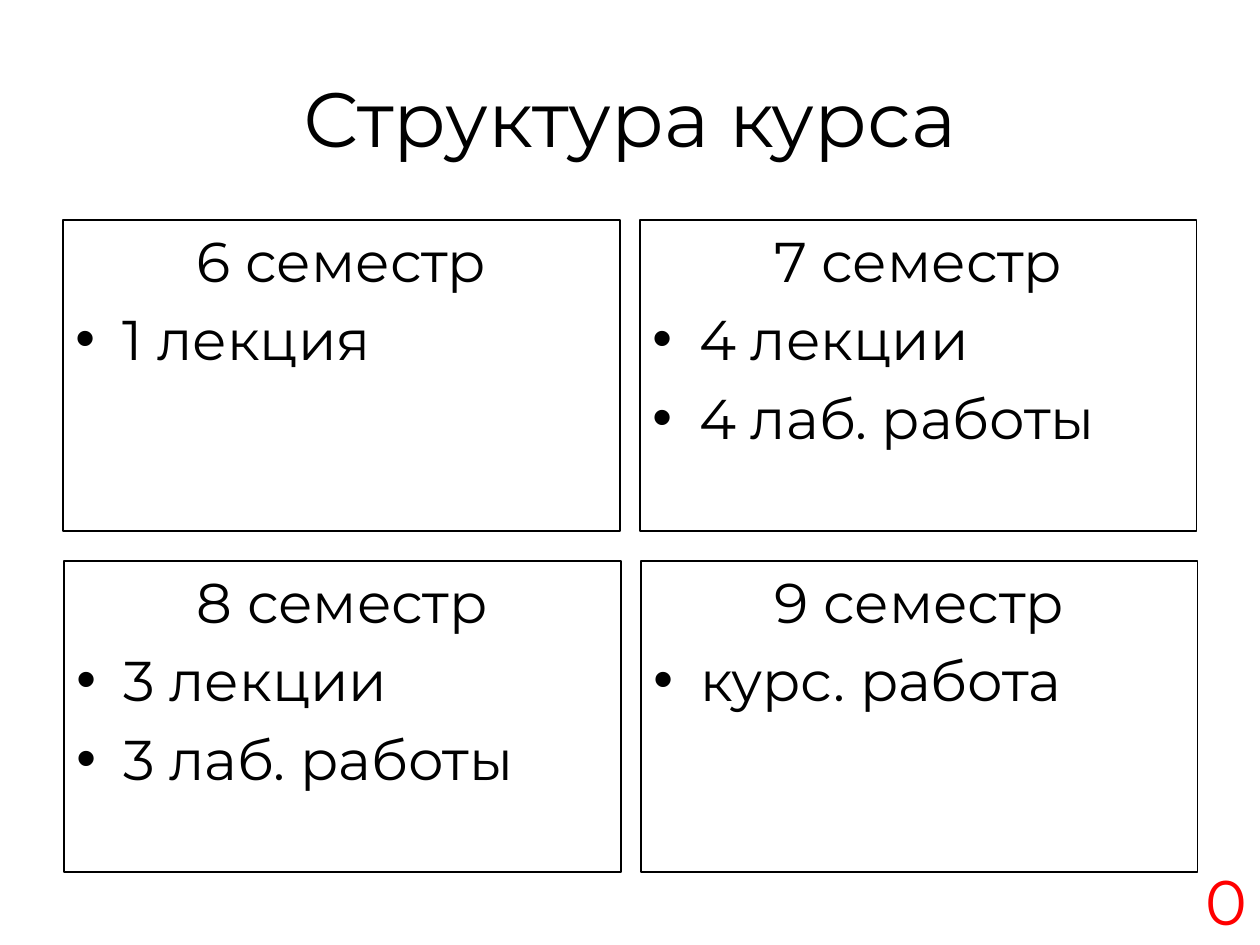
from pptx import Presentation
from pptx import util as u
from pptx.dml.color import RGBColor
from pptx.enum import shapes, text
from lxml import etree

SCALE = 914400 // 126
A = "{http://schemas.openxmlformats.org/drawingml/2006/main}"
SEMESTERS = [
    [("6 семестр", ["1 лекция"]), ("7 семестр", ["4 лекции", "4 лаб. работы"])],
    [("8 семестр", ["3 лекции", "3 лаб. работы"]), ("9 семестр", ["курс. работа"])],
]


def px(n):
    """Turn picture pixels into EMU."""
    return u.Emu(n * SCALE)


def color(value):
    """Turn a hex string into a colour."""
    return RGBColor.from_string(value)


def apply(obj, **values):
    """Set each given attribute on an object."""
    for name, value in values.items():
        setattr(obj, name, value)


def write(p, words, size, align, ink="000000"):
    """Fill a paragraph with one formatted run."""
    p.alignment = align
    r = p.add_run()
    r.text = words
    apply(r.font, name="Montserrat", size=u.Pt(size))
    r.font.color.rgb = color(ink)


def list_format(p, bullet):
    """Give a paragraph a hanging indent, relative spacing and a bullet."""
    pPr = p._p.get_or_add_pPr()
    pPr.set("marL", str(px(47)))
    pPr.set("indent", str(px(-47)))
    before = etree.SubElement(pPr, A + "spcBef")
    etree.SubElement(before, A + "spcPct", val="20000")
    if bullet:
        etree.SubElement(pPr, A + "buFont", typeface="Arial")
        etree.SubElement(pPr, A + "buChar", char="•")
    else:
        etree.SubElement(pPr, A + "buNone")


def label(s, box, words, size, align, ink="000000", **frame):
    """Place a single-line text box."""
    tf = s.shapes.add_textbox(*map(px, box)).text_frame
    apply(tf, **frame)
    write(tf.paragraphs[0], words, size, align, ink)


def semester_card(s, box, heading, items):
    """Place an outlined card with a centred heading and bullets."""
    sp = s.shapes.add_shape(shapes.MSO_SHAPE.RECTANGLE, *map(px, box))
    sp.shadow.inherit = False
    sp.fill.background()
    sp.line.color.rgb = color("000000")
    sp.line.width = u.Pt(0.75)
    tf = sp.text_frame
    apply(tf, word_wrap=True, vertical_anchor=text.MSO_ANCHOR.TOP)
    for i, words in enumerate([heading] + items):
        p = tf.add_paragraph() if i else tf.paragraphs[0]
        write(p, words, 32, text.PP_ALIGN.LEFT if i else text.PP_ALIGN.CENTER)
        list_format(p, bullet=i > 0)


def semester_grid(s, box):
    """Place the semester cards in two rows and two columns."""
    left, top, width, height = box
    gap_x, gap_y = 20, 30
    w, h = (width - gap_x) // 2, (height - gap_y) // 2
    for row, cards in enumerate(SEMESTERS):
        for col, (heading, items) in enumerate(cards):
            card = (left + row + col * (w + gap_x), top + row * (h + gap_y), w, h)
            semester_card(s, card, heading, items)


def course_slide(prs):
    """Build the course structure slide."""
    s = prs.slides.add_slide(prs.slide_layouts[6])
    label(s, (63, 38, 1134, 157), "Структура курса", 44, text.PP_ALIGN.CENTER,
          word_wrap=True, vertical_anchor=text.MSO_ANCHOR.MIDDLE)
    semester_grid(s, (63, 220, 1134, 652))
    label(s, (1192, 856, 68, 89), "0", 36, text.PP_ALIGN.RIGHT, "FF0000",
          word_wrap=False, auto_size=text.MSO_AUTO_SIZE.SHAPE_TO_FIT_TEXT)


prs = Presentation()
apply(prs, slide_width=px(1260), slide_height=px(945))
course_slide(prs)
prs.save("out.pptx")
